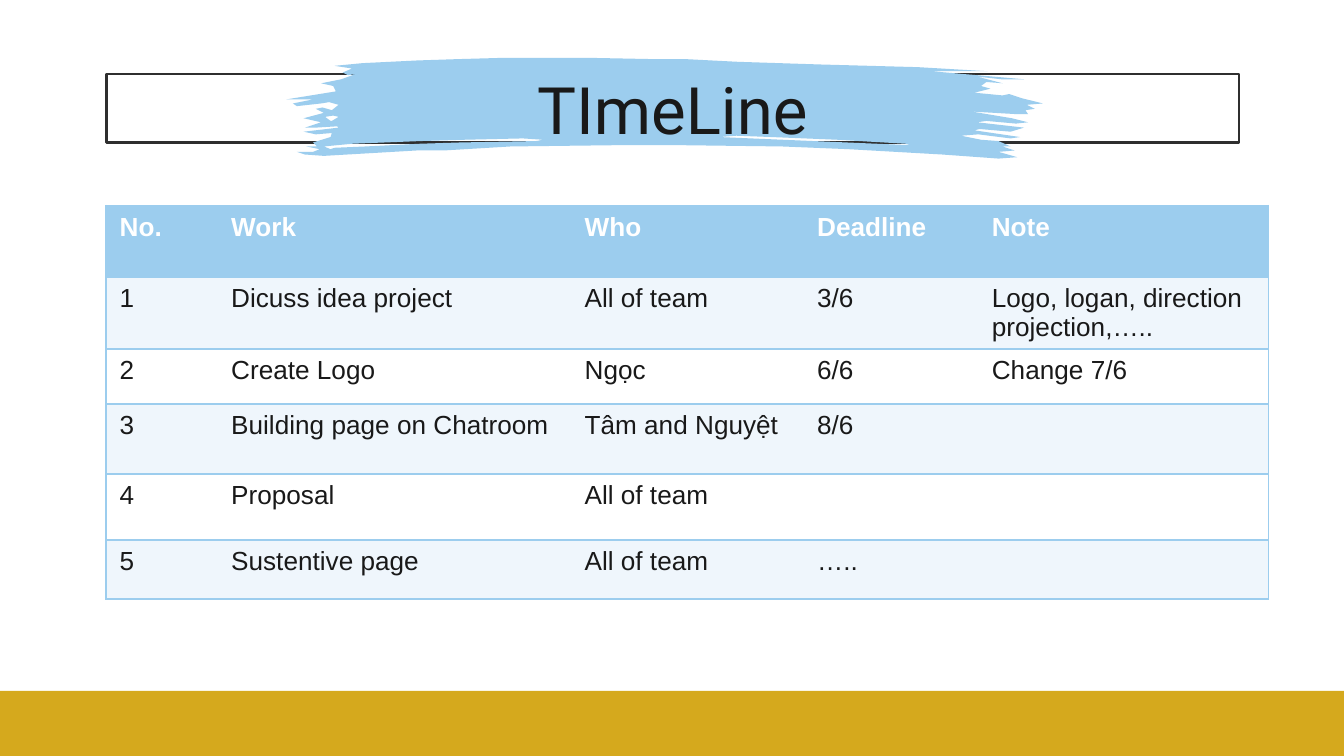
"""Build the project timeline slide with a brushed title and a task table."""
from lxml import etree
from pptx import Presentation
from pptx.dml.color import RGBColor
from pptx.enum import shapes, text
from pptx.oxml import ns
from pptx.util import Inches, Pt

SKY = RGBColor(0x9C, 0xCD, 0xEE)
PALE = RGBColor(0xEF, 0xF6, 0xFC)
WHITE = RGBColor(0xFF, 0xFF, 0xFF)
INK = RGBColor(0x19, 0x19, 0x19)
FRAME = RGBColor(0x2F, 0x2F, 0x2F)
GOLD = RGBColor(0xD5, 0xA9, 0x1D)

BRUSH_OUTLINE = [
    (436, 43), (376, 43), (341, 44), (311, 45), (270, 47), (249, 49), (262, 51), (255, 54),
    (259, 56), (265, 55), (254, 59), (239, 62), (248, 64), (250, 68), (213, 74), (233, 74),
    (218, 77), (221, 79), (239, 77), (245, 76), (252, 78), (247, 82), (240, 80), (235, 81),
    (241, 84), (226, 88), (239, 91), (227, 95), (235, 95), (251, 94), (252, 95), (226, 98),
    (235, 100), (247, 99), (246, 102), (233, 106), (236, 109), (228, 109), (238, 111),
    (233, 113), (221, 113), (227, 115), (241, 116), (310, 112), (330, 112), (380, 109),
    (462, 108), (504, 108), (582, 109), (631, 111), (701, 115), (743, 118), (757, 117),
    (743, 113), (755, 112), (746, 109), (752, 109), (743, 105), (730, 104), (715, 101),
    (728, 100), (752, 103), (759, 102), (725, 97), (729, 96), (752, 98), (762, 95), (727, 91),
    (734, 90), (756, 92), (765, 91), (753, 88), (723, 83), (757, 85), (765, 85), (763, 82),
    (770, 81), (764, 78), (776, 77), (760, 73), (751, 70), (746, 71), (725, 69), (737, 66),
    (730, 64), (734, 61), (746, 62), (727, 57), (745, 59), (762, 59), (693, 53), (735, 53),
    (683, 50), (611, 48), (549, 46), (510, 44), (486, 44),
]
BRUSH_GAPS = [
    [(248, 86), (252, 87), (247, 90), (246, 90), (242, 87)],
    [(548, 101), (574, 102), (623, 104), (674, 107), (677, 108), (535, 102)],
    [(389, 103), (404, 104), (399, 105), (343, 106), (312, 107), (272, 109), (249, 110),
     (246, 111), (241, 109), (262, 107), (313, 105), (346, 104)],
]
TASKS = [
    ["No.", "Work", "Who", "Deadline", "Note"],
    ["1", "Dicuss idea project", "All of team", "3/6", "Logo, logan, direction projection,….."],
    ["2", "Create Logo", "Ngọc", "6/6", "Change 7/6"],
    ["3", "Building page on Chatroom", "Tâm and Nguyệt", "8/6", ""],
    ["4", "Proposal", "All of team", "", ""],
    ["5", "Sustentive page", "All of team", "…..", ""],
]
COLUMN_WIDTHS = [0.83, 2.63, 1.73, 1.3, 2.16]
ROW_HEIGHTS = [0.53, 0.53, 0.41, 0.52, 0.49, 0.44]


def add_border(cell, side, visible):
    line = etree.SubElement(cell._tc.get_or_add_tcPr(), ns.qn(f"a:ln{side}"), w=str(Pt(1)))
    if visible:
        fill = etree.SubElement(line, ns.qn("a:solidFill"))
        etree.SubElement(fill, ns.qn("a:srgbClr"), val=str(SKY))
    else:
        etree.SubElement(line, ns.qn("a:noFill"))


presentation = Presentation()
presentation.slide_width = Inches(10)
presentation.slide_height = Inches(10) * 9 // 16
slide = presentation.slides.add_slide(presentation.slide_layouts[6])

title_frame = slide.shapes.add_shape(
    shapes.MSO_SHAPE.RECTANGLE, Inches(0.79), Inches(0.55), Inches(8.43), Inches(0.51))
title_frame.shadow.inherit = False
title_frame.fill.background()
title_frame.line.color.rgb = FRAME
title_frame.line.width = Pt(1.5)

footer = slide.shapes.add_shape(
    shapes.MSO_SHAPE.RECTANGLE, 0, Inches(5.14), Inches(10), Inches(0.49))
footer.shadow.inherit = False
footer.fill.solid()
footer.fill.fore_color.rgb = GOLD
footer.line.fill.background()

builder = slide.shapes.build_freeform(*BRUSH_OUTLINE[0], scale=Inches(0.01))
builder.add_line_segments(BRUSH_OUTLINE[1:])
for gap in BRUSH_GAPS:
    builder.move_to(*gap[0])
    builder.add_line_segments(gap[1:])
brush = builder.convert_to_shape()
brush.shadow.inherit = False
brush.fill.solid()
brush.fill.fore_color.rgb = SKY
brush.line.fill.background()

title = slide.shapes.add_textbox(Inches(0.79), Inches(0.49), Inches(8.43), Inches(0.63))
title_text = title.text_frame
title_text.word_wrap = True
title_text.vertical_anchor = text.MSO_ANCHOR.MIDDLE
title_text.margin_top = title_text.margin_bottom = Inches(0.1)
title_text.text = "TImeLine"
paragraph = title_text.paragraphs[0]
paragraph.alignment = text.PP_ALIGN.CENTER
paragraph.runs[0].font.name = "Roboto"
paragraph.runs[0].font.size = Pt(35)
paragraph.runs[0].font.color.rgb = INK

table = slide.shapes.add_table(
    len(TASKS), len(COLUMN_WIDTHS), Inches(0.79), Inches(1.53),
    Inches(sum(COLUMN_WIDTHS)), Inches(sum(ROW_HEIGHTS))).table
for column, width in zip(table.columns, COLUMN_WIDTHS):
    column.width = Inches(width)
for row, height in zip(table.rows, ROW_HEIGHTS):
    row.height = Inches(height)

last_column = len(COLUMN_WIDTHS) - 1
for row_index, task in enumerate(TASKS):
    is_header = row_index == 0
    for column_index, entry in enumerate(task):
        cell = table.cell(row_index, column_index)
        cell.margin_bottom = Inches(0.02)
        add_border(cell, "L", column_index == 0)
        add_border(cell, "R", column_index == last_column)
        add_border(cell, "T", True)
        add_border(cell, "B", True)
        cell.fill.solid()
        cell.fill.fore_color.rgb = SKY if is_header else PALE if row_index % 2 else WHITE
        cell.text_frame.text = entry
        for run in cell.text_frame.paragraphs[0].runs:
            run.font.name = "Arial"
            run.font.size = Pt(14)
            run.font.bold = is_header
            run.font.color.rgb = WHITE if is_header else INK

presentation.save("out.pptx")
